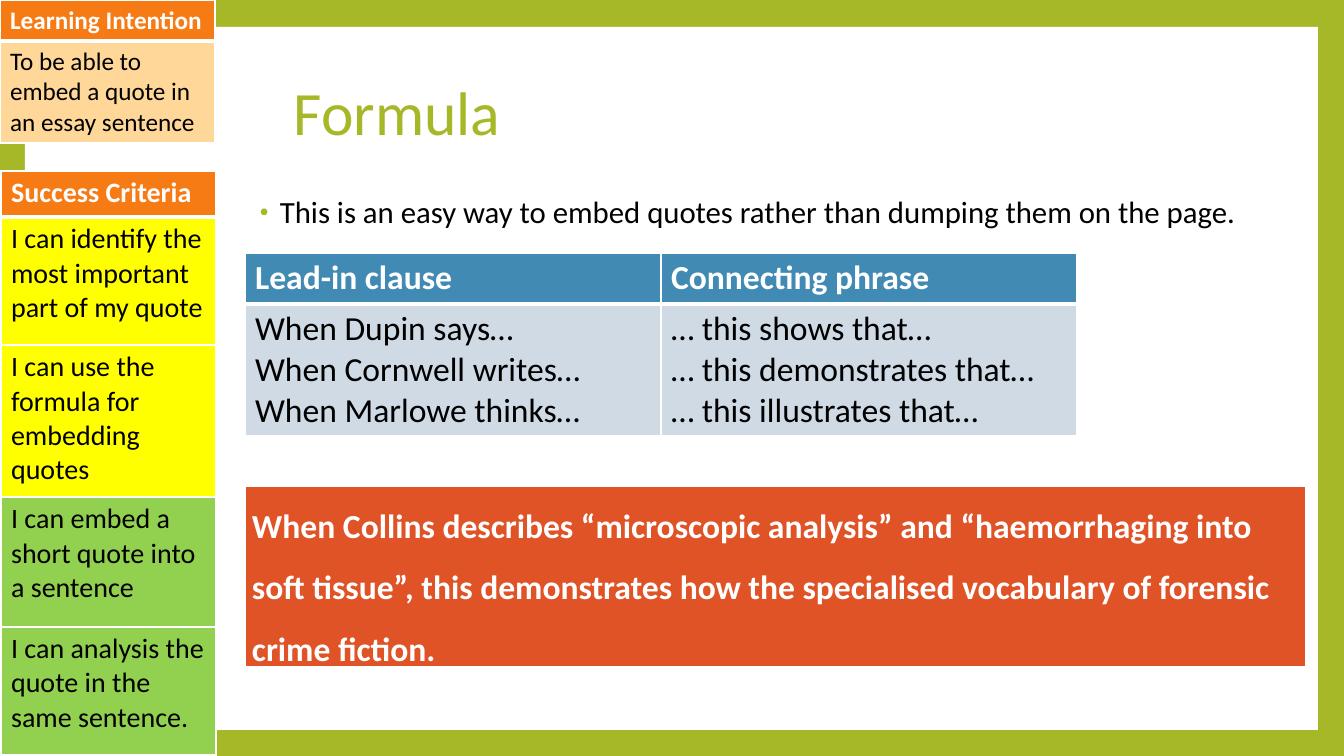
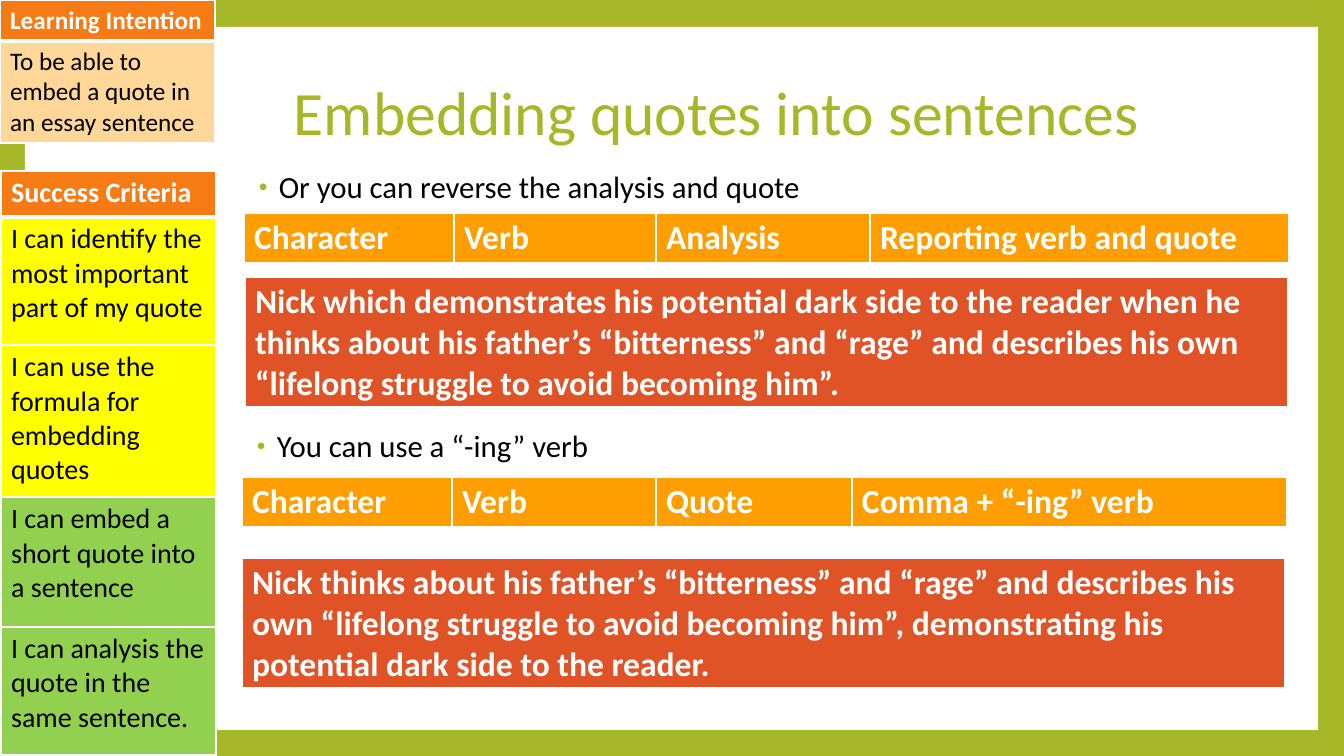
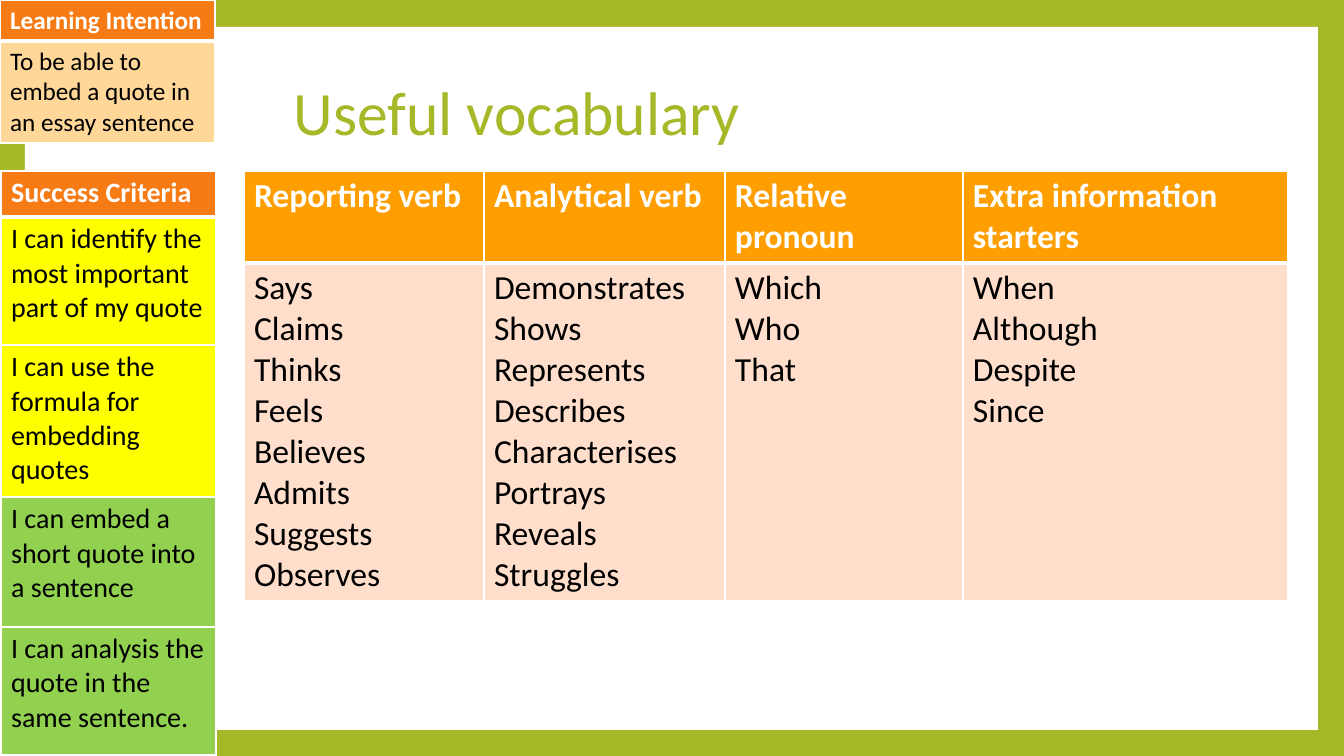
from lxml.etree import SubElement
from pptx import Presentation
from pptx.dml.color import RGBColor
from pptx.enum.shapes import MSO_SHAPE
from pptx.enum.text import MSO_ANCHOR
from pptx.oxml.ns import qn
from pptx.util import Emu, Pt

SCALE = 914400 / 100.8  # EMU per px
FONT = "Calibri"
C = {
    "green": "A6B727", "white": "FFFFFF", "black": "000000",
    "orange": "F77B15", "peach": "FFD899", "yellow": "FFFF00",
    "lime": "92D050", "blue": "418AB3", "pale_blue": "CFDAE5",
    "red": "DF5327", "amber": "FE9E00", "pale_pink": "FFDFCC",
}

# Content: each table has its place, columns, rows (height, fill, cells) and text size
SIDEBAR = [
    dict(at=(0, 0), cols=[215], size=18, rows=[
        (41, "orange", ["Learning Intention"]),
        (102, "peach", ["To be able to embed a quote in an essay sentence"]),
    ]),
    dict(at=(1, 171), cols=[215], size=20, rows=[
        (46, "orange", ["Success Criteria"]),
        (128, "yellow", ["I can identify the most important part of my quote"]),
        (152, "yellow", ["I can use the formula for embedding quotes"]),
        (130, "lime", ["I can embed a short quote into a sentence"]),
        (128, "lime", ["I can analysis the quote in the same sentence."]),
    ]),
]

SLIDES = [
    dict(
        title="Formula",
        bullets=[(245, 192, "This is an easy way to embed quotes rather than dumping them on the page.")],
        tables=[
            dict(at=(245, 253), cols=[416, 416], rows=[
                (51, "blue", ["Lead-in clause", "Connecting phrase"]),
                (132, "pale_blue", [
                    ["When Dupin says…", "When Cornwell writes…", "When Marlowe thinks…"],
                    ["… this shows that…", "… this demonstrates that…", "… this illustrates that…"],
                ]),
            ]),
            dict(at=(245, 486), cols=[1061], spacing=1.5, insets=(7, 0), rows=[
                (182, "red", ["When Collins describes “microscopic analysis” and “haemorrhaging into "
                              "soft tissue”, this demonstrates how the specialised vocabulary of "
                              "forensic crime fiction."]),
            ]),
        ],
    ),
    dict(
        title="Embedding quotes into sentences",
        bullets=[(244, 167, "Or you can reverse the analysis and quote"),
                 (242, 426, "You can use a “-ing” verb")],
        tables=[
            dict(at=(244, 213), cols=[210, 202, 214, 419], rows=[
                (50, "amber", ["Character", "Verb", "Analysis", "Reporting verb and quote"]),
            ]),
            dict(at=(245, 277), cols=[1043], rows=[
                (131, "red", ["Nick which demonstrates his potential dark side to the reader when he "
                              "thinks about his father’s “bitterness” and “rage” and describes his own "
                              "“lifelong struggle to avoid becoming him”."]),
            ]),
            dict(at=(242, 477), cols=[210, 204, 196, 435], rows=[
                (50, "amber", ["Character", "Verb", "Quote", "Comma + “-ing” verb"]),
            ]),
            dict(at=(242, 558), cols=[1043], rows=[
                (131, "red", ["Nick thinks about his father’s “bitterness” and “rage” and describes his "
                              "own “lifelong struggle to avoid becoming him”, demonstrating his "
                              "potential dark side to the reader."]),
            ]),
        ],
    ),
    dict(
        title="Useful vocabulary",
        bullets=[],
        tables=[
            dict(at=(244, 171), cols=[240, 241, 238, 325], rows=[
                (92, "amber", ["Reporting verb", "Analytical verb", "Relative pronoun",
                               "Extra information starters"]),
                (338, "pale_pink", [
                    ["Says", "Claims", "Thinks", "Feels", "Believes", "Admits", "Suggests", "Observes"],
                    ["Demonstrates", "Shows", "Represents", "Describes", "Characterises", "Portrays",
                     "Reveals", "Struggles"],
                    ["Which", "Who", "That"],
                    ["When", "Although", "Despite", "Since"],
                ]),
            ]),
        ],
    ),
]


def px(n):
    return Emu(round(n * SCALE))


def rgb(name):
    return RGBColor.from_string(C[name])


def add_run(p, text, size, color, bold=False):
    r = p.add_run()
    r.text = text
    r.font.name, r.font.size, r.font.bold = FONT, Pt(size), bold
    r.font.color.rgb = rgb(color)


def add_text(s, box, text, size, color, anchor=MSO_ANCHOR.TOP):
    tf = s.shapes.add_textbox(*map(px, box)).text_frame
    tf.word_wrap = True
    tf.vertical_anchor = anchor
    p = tf.paragraphs[0]
    p.line_spacing = 0.9
    add_run(p, text, size, color)
    return p


def add_bullet(s, x, y, text):
    pPr = add_text(s, (x, y, 1016, 90), text, 22, "black")._p.get_or_add_pPr()
    pPr.set("marL", str(px(25)))
    pPr.set("indent", str(-px(20)))
    SubElement(SubElement(pPr, qn("a:buClr")), qn("a:srgbClr"), val=C["green"])
    SubElement(pPr, qn("a:buSzPct"), val="80000")
    SubElement(pPr, qn("a:buFont"), typeface="Arial")
    SubElement(pPr, qn("a:buChar"), char="•")


def style_cell(cell, fill, header):
    """White borders, thicker under a header, then the fill."""
    tcPr = cell._tc.get_or_add_tcPr()
    for side in "LRTB":
        width = Pt(3 if header and side == "B" else 1)
        ln = SubElement(tcPr, qn("a:ln" + side), w=str(width))
        SubElement(SubElement(ln, qn("a:solidFill")), qn("a:srgbClr"), val=C["white"])
    cell.fill.solid()
    cell.fill.fore_color.rgb = rgb(fill)


def add_grid(s, at, cols, rows, size=24, spacing=None, insets=None):
    heights = [row[0] for row in rows]
    box = (*at, sum(cols), sum(heights))
    table = s.shapes.add_table(len(rows), len(cols), *map(px, box)).table
    table.horz_banding = False
    for col, width in zip(table.columns, cols):
        col.width = px(width)
    for i, (height, fill, texts) in enumerate(rows):
        table.rows[i].height = px(height)
        header = i == 0
        for j, text in enumerate(texts):
            cell = table.cell(i, j)
            style_cell(cell, fill, header)
            if insets:
                cell.margin_left = cell.margin_right = px(insets[0])
                cell.margin_top = cell.margin_bottom = px(insets[1])
            tf = cell.text_frame
            for k, line in enumerate([text] if isinstance(text, str) else text):
                p = tf.add_paragraph() if k else tf.paragraphs[0]
                if spacing:
                    p.line_spacing = spacing
                add_run(p, line, size, "white" if header else "black", header)


def add_base(prs, title):
    """Green frame, white panel, title and sidebar shared by all slides."""
    s = prs.slides.add_slide(prs.slide_layouts[6])
    s.background.fill.solid()
    s.background.fill.fore_color.rgb = rgb("green")
    panel = s.shapes.add_shape(MSO_SHAPE.RECTANGLE, *map(px, (25, 27, 1293, 703)))
    panel.shadow.inherit = False
    panel.fill.solid()
    panel.fill.fore_color.rgb = rgb("white")
    panel.line.fill.background()
    add_text(s, (284, 61, 937, 110), title, 44, "green", MSO_ANCHOR.MIDDLE)
    for grid in SIDEBAR:
        add_grid(s, **grid)
    return s


def main():
    prs = Presentation()
    prs.slide_width, prs.slide_height = px(1344), px(756)
    for content in SLIDES:
        s = add_base(prs, content["title"])
        for bullet in content["bullets"]:
            add_bullet(s, *bullet)
        for grid in content["tables"]:
            add_grid(s, **grid)
    prs.save("out.pptx")


if __name__ == "__main__":
    main()
